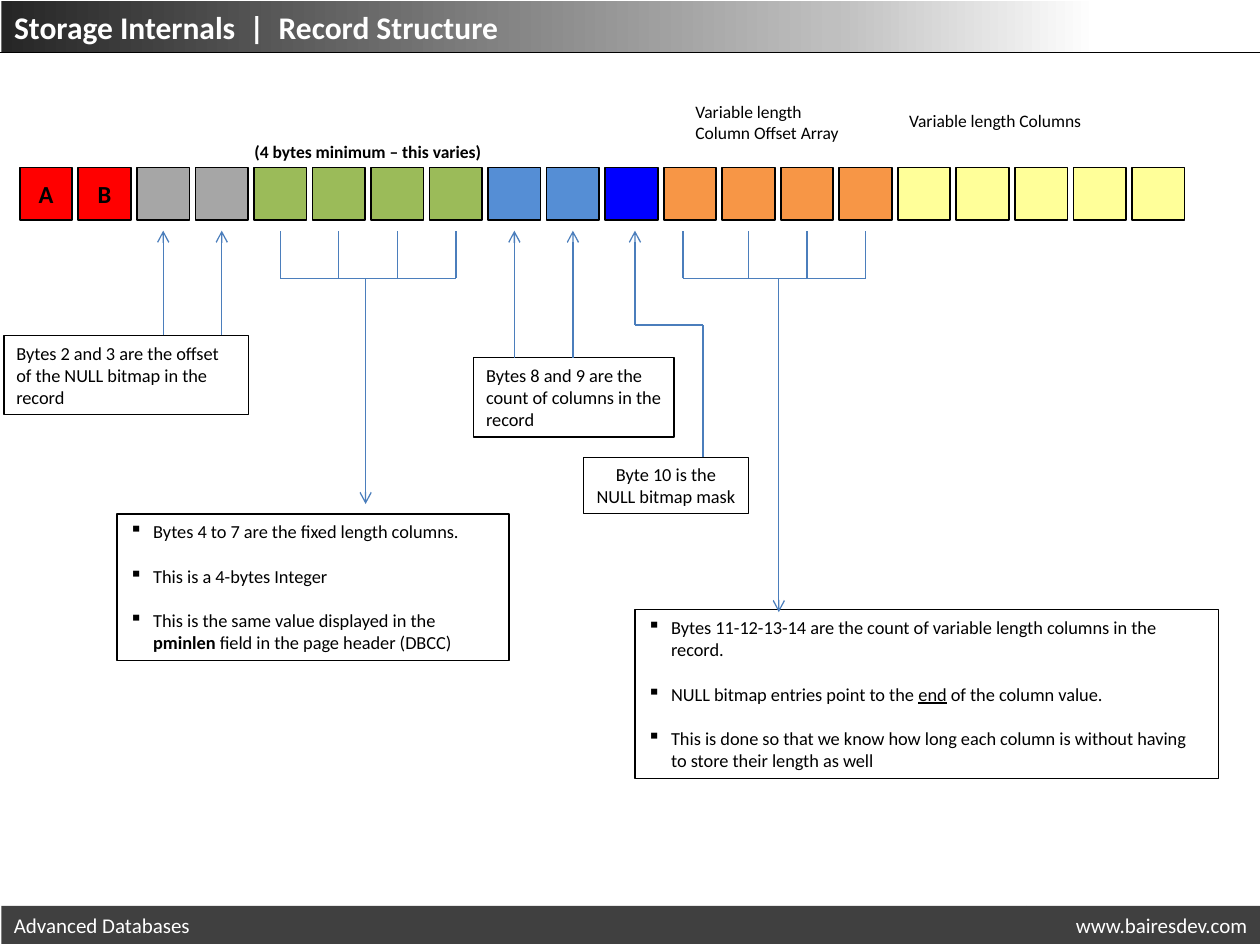
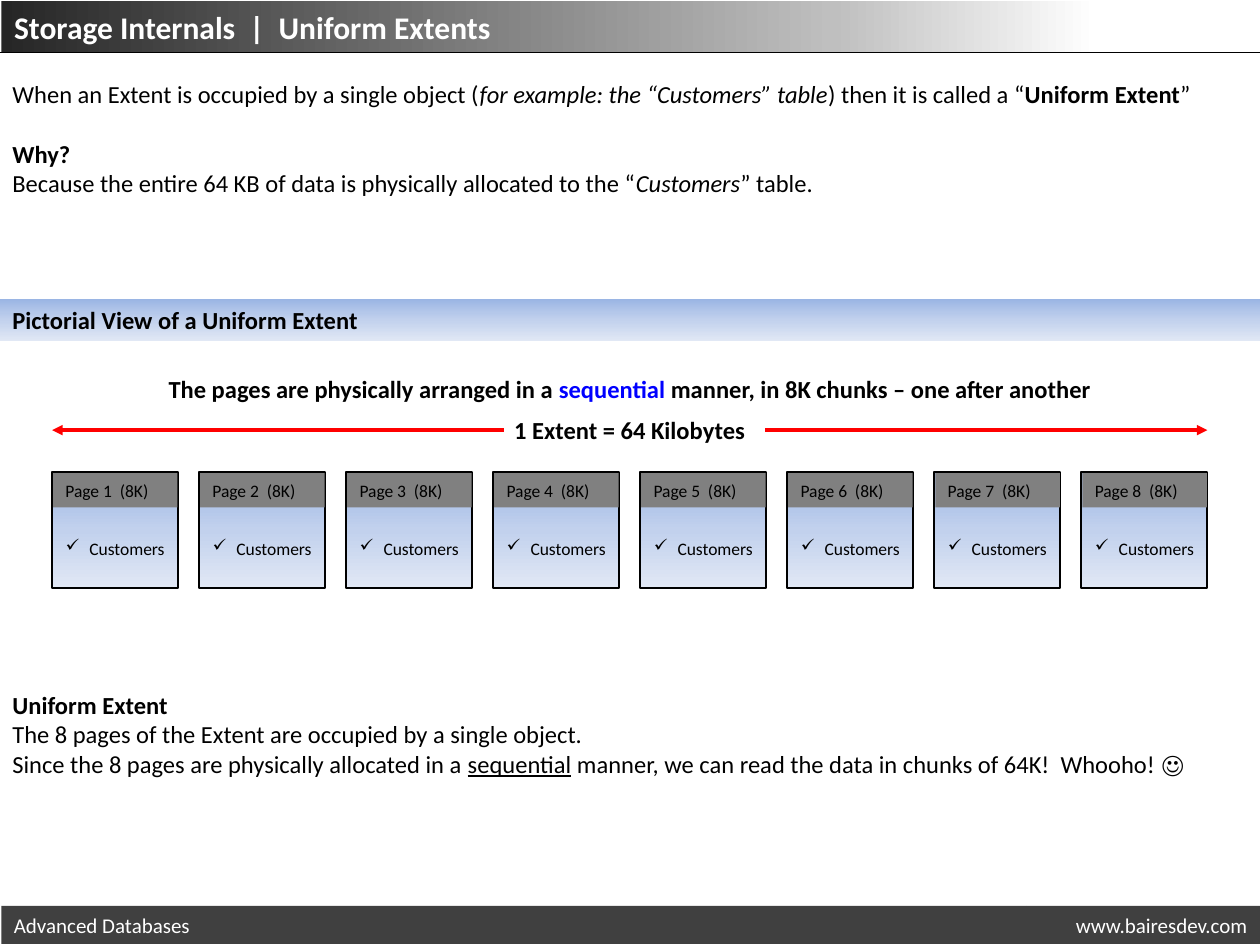
from lxml import etree
from pptx import Presentation
from pptx.dml.color import RGBColor
from pptx.enum.shapes import MSO_CONNECTOR, MSO_SHAPE
from pptx.enum.text import MSO_ANCHOR, MSO_AUTO_SIZE, PP_ALIGN
from pptx.oxml.ns import qn
from pptx.util import Cm, Pt

RECT = MSO_SHAPE.RECTANGLE
STRAIGHT = MSO_CONNECTOR.STRAIGHT
LEFT, CENTER, RIGHT = PP_ALIGN.LEFT, PP_ALIGN.CENTER, PP_ALIGN.RIGHT
MIDDLE = MSO_ANCHOR.MIDDLE
NO_AUTOFIT = MSO_AUTO_SIZE.NONE

FONT = "Calibri"
SLIDE_W, SLIDE_H = 25.4, 19.05
COLORS = {
    "black": "000000", "white": "FFFFFF", "footer": "404040",
    "status": "FF0000", "offset": "A6A6A6", "fixed": "9BBB59",
    "count": "558ED5", "mask": "0000FF", "array": "F79646",
    "variable": "FFFF99", "pointer": "4B7EBC", "extent": "FF0000",
    "accent": "0000FF", "page": "808080",
}
TITLE_STOPS = [(0, "262626"), (66, "BFBFBF"), (87, "FFFFFF")]
BLUE_STOPS = [(0, "9AB5E4"), (50, "C2D1ED"), (100, "E1E8F5")]
BYTES = (["status"] * 2 + ["offset"] * 2 + ["fixed"] * 4 + ["count"] * 2
         + ["mask"] + ["array"] * 4 + ["variable"] * 5)
BYTE_PITCH, BYTE_SIZE = 1.18, 1.06


def rgb(name):
    return RGBColor.from_string(COLORS[name])


def add_bullet(p, char):
    pPr = p._p.get_or_add_pPr()
    pPr.set("marL", str(Cm(0.48)))
    pPr.set("indent", str(-Cm(0.48)))
    etree.SubElement(pPr, qn("a:buChar")).set("char", char)


def write(sp, paragraphs, size=10.5, color="black", bold=False, align=LEFT,
          bullet=None, gaps=None):
    tf = sp.text_frame
    tf.word_wrap = True
    tf.auto_size = NO_AUTOFIT
    tf.vertical_anchor = MIDDLE
    for i, runs in enumerate(paragraphs):
        p = tf.paragraphs[0] if i == 0 else tf.add_paragraph()
        if bullet:
            add_bullet(p, bullet)
        p.alignment = align
        if gaps and i in gaps:
            p.space_before = Pt(gaps[i])
        for run in [runs] if isinstance(runs, str) else runs:
            text, style = (run, {}) if isinstance(run, str) else run
            r = p.add_run()
            r.text = text
            r.font.name = FONT
            r.font.size = Pt(size)
            r.font.bold = style.get("bold", bold)
            r.font.italic = style.get("italic", False)
            r.font.underline = style.get("underline", False)
            r.font.color.rgb = rgb(style.get("color", color))


def add_text(s, box, paragraphs, border=False, **fmt):
    sp = s.shapes.add_textbox(*map(Cm, box))
    if border:
        sp.line.color.rgb = rgb("black")
        sp.line.width = Pt(0.75)
    write(sp, paragraphs, **fmt)
    return sp


def fill_gradient(sp, stops, angle):
    sp.fill.gradient()
    sp.fill.gradient_angle = angle
    stop_list = sp._element.spPr.find(".//" + qn("a:gsLst"))
    for stop in list(stop_list):
        stop_list.remove(stop)
    for position, value in stops:
        stop = etree.SubElement(stop_list, qn("a:gs"), pos=str(position * 1000))
        etree.SubElement(stop, qn("a:srgbClr"), val=value)


def add_rect(s, box, fill=None, stops=None, border=False):
    sp = s.shapes.add_shape(RECT, *map(Cm, box))
    sp.shadow.inherit = False
    if stops:
        fill_gradient(sp, stops, 270)
    else:
        sp.fill.solid()
        sp.fill.fore_color.rgb = rgb(fill)
    if border:
        sp.line.color.rgb = rgb("black")
        sp.line.width = Pt(1)
    else:
        sp.line.fill.background()
    return sp


def add_line(s, points, color="pointer", width=0.75, head=None):
    for start, end in zip(points, points[1:]):
        cx = s.shapes.add_connector(STRAIGHT, *map(Cm, start + end))
        cx.line.color.rgb = rgb(color)
        cx.line.width = Pt(width)
        spPr = cx._element.spPr
        if head and end == points[-1]:
            etree.SubElement(spPr.find(qn("a:ln")), qn("a:tailEnd"), type=head)
        etree.SubElement(spPr, qn("a:effectLst"))


def add_slide(prs, topic):
    s = prs.slides.add_slide(prs.slide_layouts[5])
    title = s.shapes.title
    title.left, title.top, title.width, title.height = map(
        Cm, (0.03, 0.03, SLIDE_W, 1.02))
    fill_gradient(title, TITLE_STOPS, 0)
    write(title, [f"Storage Internals  |  {topic}"], size=18, color="white", bold=True)
    add_line(s, [(0, 1.06), (SLIDE_W, 1.06)], "black", 0.5)
    add_footer(s, (0.03, 18.26, SLIDE_W - 0.03, 0.77))
    return s


def add_footer(s, box):
    x, y, w, h = box
    address_w = 4.7
    course = add_rect(s, (x, y, w - address_w, h), "footer")
    write(course, ["Advanced Databases"], size=12, color="white")
    address = add_rect(s, (x + w - address_w, y, address_w, h), "footer")
    write(address, ["www.bairesdev.com"], size=12, color="white", align=RIGHT)


def add_record(s, x, y):
    for i, kind in enumerate(BYTES):
        cell = add_rect(s, (x + i * BYTE_PITCH, y, BYTE_SIZE, BYTE_SIZE), kind, border=True)
        if kind == "status":
            write(cell, ["AB"[i]], size=14, bold=True, align=CENTER)
    for box, lines, bold in [
            ((4.48, -0.66, 5.13, 0.69), ["(4 bytes minimum – this varies)"], True),
            ((13.37, -1.47, 3.48, 1.12), ["Variable length", "Column Offset Array"], False),
            ((17.68, -1.3, 4.88, 0.69), ["Variable length Columns"], False)]:
        dx, dy, w, h = box
        add_text(s, (x + dx, y + dy, w, h), lines, size=10, bold=bold)


def add_bracket(s, teeth, top, drop_x, drop_end):
    base = top + 0.96
    add_line(s, [(teeth[0], base), (teeth[-1], base)])
    for tooth in teeth:
        add_line(s, [(tooth, base), (tooth, top)])
    add_line(s, [(drop_x, base), (drop_x, drop_end)], head="arrow")


def add_pointers(s, x, y):
    centers = [x + BYTE_SIZE / 2 + i * BYTE_PITCH for i in range(len(BYTES))]
    tip = y + 1.27
    for i, start in [(2, 6.76), (3, 6.76), (8, 7.21), (9, 7.21)]:
        add_line(s, [(centers[i], start), (centers[i], tip)], head="arrow")
    add_line(s, [(14.17, 9.22), (14.17, 6.55), (12.8, 6.55), (12.8, tip)], head="arrow")
    add_bracket(s, centers[4:8], tip, 7.37, 10.16)
    add_bracket(s, [13.77] + centers[12:15], tip, 15.7, 12.34)


def build_record_structure(prs):
    s = add_slide(prs, "Record Structure")
    add_record(s, 0.4, 3.38)
    add_text(s, (0.08, 6.76, 4.93, 1.6),
             ["Bytes 2 and 3 are the offset", "of the NULL bitmap in the record"], border=True)
    add_text(s, (9.55, 7.21, 4.04, 1.6),
             ["Bytes 8 and 9 are the count of columns in the record"], border=True)
    add_text(s, (11.76, 9.22, 3.33, 1.14),
             ["Byte 10 is the NULL bitmap mask"], border=True, align=CENTER)
    bullets = {"border": True, "bullet": "▪", "gaps": {1: 12.8, 2: 12.8}}
    add_text(s, (2.36, 10.36, 7.9, 2.95), [
        "Bytes 4 to 7 are the fixed length columns.",
        "This is a 4-bytes Integer",
        ["This is the same value displayed in the ", ("pminlen", {"bold": True}),
         " field in the page header (DBCC)"]], **bullets)
    add_text(s, (12.8, 12.29, 11.76, 3.4), [
        "Bytes 11-12-13-14 are the count of variable length columns in the record.",
        ["NULL bitmap entries point to the ", ("end", {"underline": True}),
         " of the column value."],
        "This is done so that we know how long each column is without having "
        "to store their length as well"], **bullets)
    add_pointers(s, 0.4, 3.38)


def add_page(s, box, number):
    x, y, w, h = box
    add_rect(s, box, stops=BLUE_STOPS, border=True)
    header = add_rect(s, (x + 0.02, y + 0.02, w - 0.03, 0.69), "page")
    write(header, [f"Page {number}  (8K)"], size=10)
    add_text(s, (x, y + 1.19, w, 0.69), ["Customers"], size=10, align=CENTER, bullet="✓")


def add_extent(s, box, pages=8):
    x, y, w, h = box
    add_text(s, (x, y, w, 0.86), [[
        "The pages are physically arranged in a ", ("sequential ", {"color": "accent"}),
        "manner, in 8K chunks – one after another"]], size=14, bold=True, align=CENTER)
    add_text(s, (x, y + 0.84, w, 0.86), ["1 Extent = 64 Kilobytes"],
             size=14, bold=True, align=CENTER)
    arrow_y = y + 1.27
    for start, end in [(x + 9.1, x), (x + 14.38, x + w)]:
        add_line(s, [(start, arrow_y), (end, arrow_y)], "extent", 2, "triangle")
    page_w, page_h = 2.54, 2.34
    pitch = (w - page_w) / (pages - 1)
    for i in range(pages):
        add_page(s, (x + i * pitch, y + h - page_h, page_w, page_h), i + 1)


def build_uniform_extents(prs):
    s = add_slide(prs, "Uniform Extents")
    add_text(s, (0, 1.47, SLIDE_W, 2.64), [
        ["When an Extent is occupied by a single object (",
         ("for example: the “Customers” table", {"italic": True}),
         ") then it is called a “", ("Uniform Extent", {"bold": True}), "”"],
        [("Why?", {"bold": True})],
        ["Because the entire 64 KB of data is physically allocated to the “",
         ("Customers", {"italic": True}), "” table."]], size=14, gaps={1: 17})
    band = add_rect(s, (0, 6.02, SLIDE_W, 0.86), stops=BLUE_STOPS)
    write(band, ["Pictorial View of a Uniform Extent"], size=14, bold=True)
    add_extent(s, (1.05, 7.4, 23.29, 4.46))
    add_text(s, (0, 13.77, SLIDE_W, 2.06), [
        [("Uniform Extent", {"bold": True})],
        "The 8 pages of the Extent are occupied by a single object.",
        ["Since the 8 pages are physically allocated in a ",
         ("sequential", {"underline": True}),
         " manner, we can read the data in chunks of 64K!  Whooho! ☺"]], size=14)


def main():
    prs = Presentation()
    prs.slide_width, prs.slide_height = Cm(SLIDE_W), Cm(SLIDE_H)
    build_record_structure(prs)
    build_uniform_extents(prs)
    prs.save("out.pptx")


if __name__ == "__main__":
    main()
